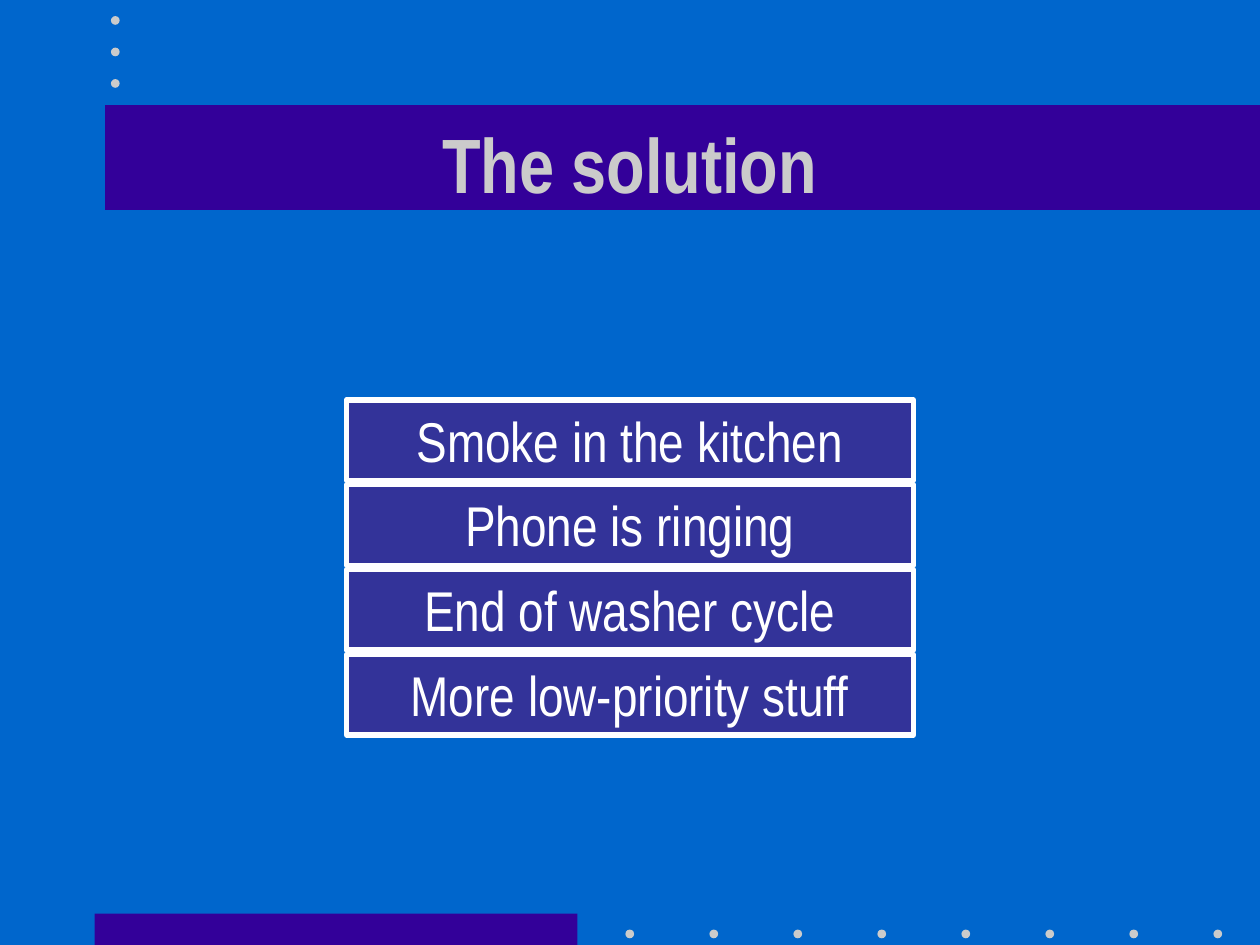
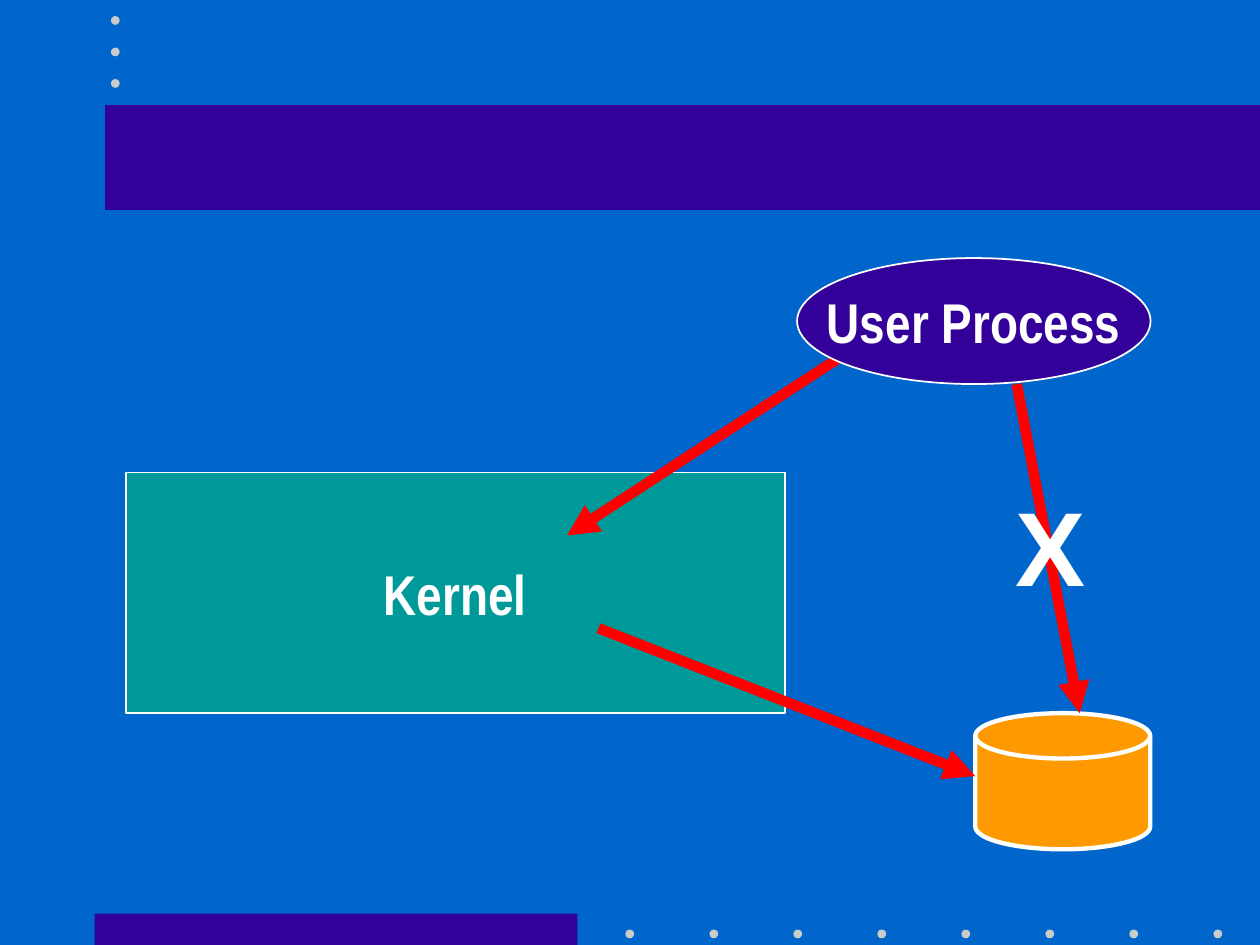
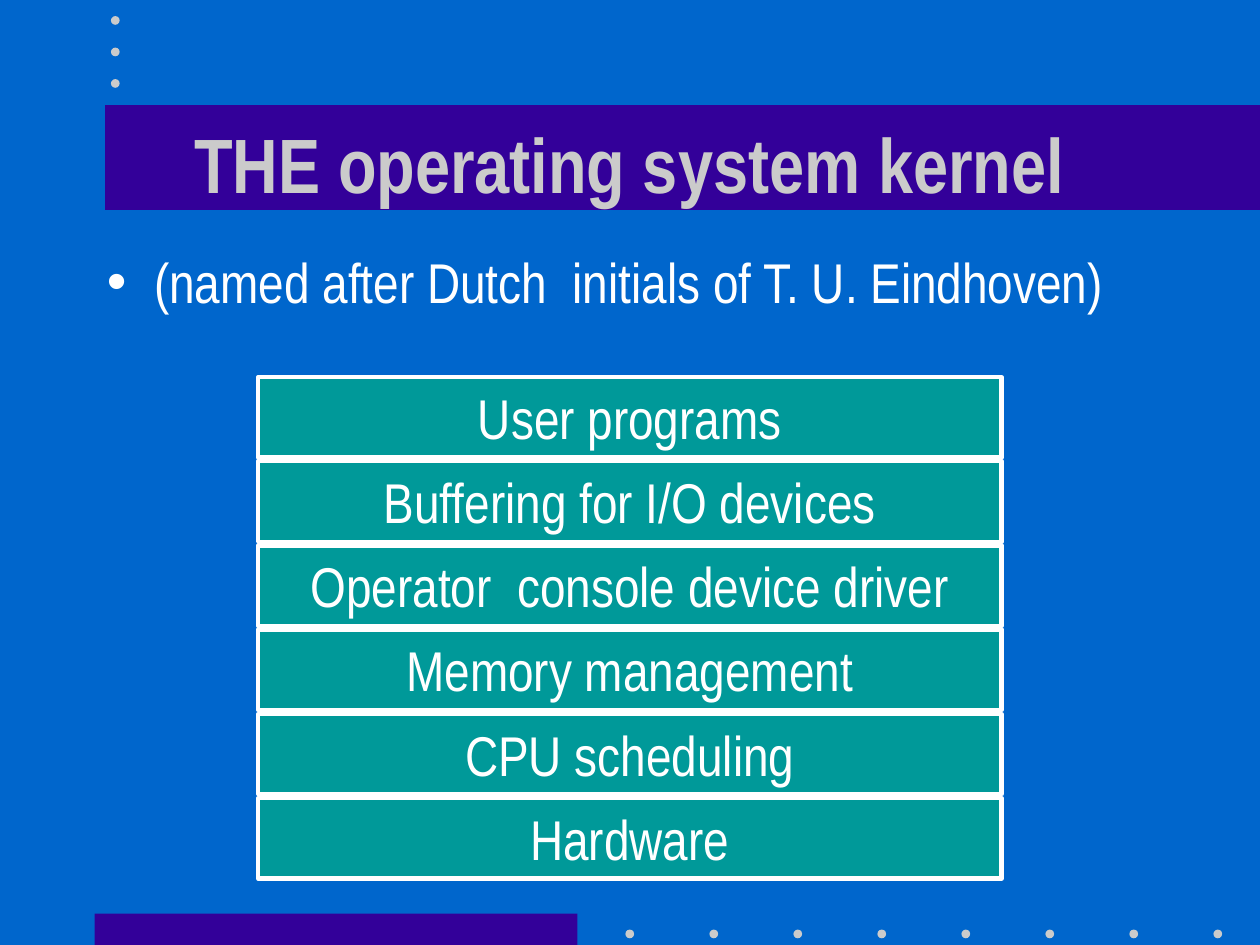
from lxml import etree
from pptx import Presentation
from pptx.dml.color import RGBColor
from pptx.enum.shapes import MSO_CONNECTOR, MSO_SHAPE
from pptx.enum.text import MSO_ANCHOR, PP_ALIGN
from pptx.oxml.ns import qn
from pptx.util import Pt

RECTANGLE = MSO_SHAPE.RECTANGLE
OVAL = MSO_SHAPE.OVAL
DISK = MSO_SHAPE.FLOWCHART_MAGNETIC_DISK
STRAIGHT = MSO_CONNECTOR.STRAIGHT
TOP, MIDDLE = MSO_ANCHOR.TOP, MSO_ANCHOR.MIDDLE
LEFT, CENTER = PP_ALIGN.LEFT, PP_ALIGN.CENTER

BLUE = RGBColor(0x00, 0x66, 0xCC)
INDIGO = RGBColor(0x33, 0x00, 0x99)
NAVY = RGBColor(0x33, 0x33, 0x99)
TEAL = RGBColor(0x00, 0x99, 0x99)
ORANGE = RGBColor(0xFF, 0x99, 0x00)
RED = RGBColor(0xFF, 0x00, 0x00)
GRAY = RGBColor(0xCB, 0xCB, 0xCB)
WHITE = RGBColor(0xFF, 0xFF, 0xFF)

SLIDE_WIDTH, SLIDE_HEIGHT = 720, 540
DOT_SIZE = 5
LAYER_HEIGHT = 46

BODY_FONT = {"name": "Arial Narrow", "size": Pt(32), "bold": False}
LABEL_FONT = {**BODY_FONT, "bold": True}
TITLE_FONT = {**LABEL_FONT, "size": Pt(44)}
CROSS_FONT = {"name": "Arial", "size": Pt(60), "bold": True}


def write_text(shape, text, font_format, color=WHITE, align=CENTER, anchor=MIDDLE, wrap=True):
    frame = shape.text_frame
    frame.word_wrap = wrap
    frame.vertical_anchor = anchor
    paragraph = frame.paragraphs[0]
    paragraph.alignment = align
    run = paragraph.add_run()
    run.text = text
    for name, value in font_format.items():
        setattr(run.font, name, value)
    run.font.color.rgb = color
    return paragraph


def add_box(slide, kind, box, fill, line_width=0):
    """Add a filled preset shape, with a white outline if line_width is given."""
    shape = slide.shapes.add_shape(kind, *map(Pt, box))
    shape.shadow.inherit = False
    shape.fill.solid()
    shape.fill.fore_color.rgb = fill
    if line_width:
        shape.line.color.rgb = WHITE
        shape.line.width = Pt(line_width)
    else:
        shape.line.fill.background()
    return shape


def add_text(slide, box, text, font_format, **layout):
    text_box = slide.shapes.add_textbox(*map(Pt, box))
    return write_text(text_box, text, font_format, **layout)


def add_title(slide, text):
    add_text(slide, (54, 48, 612, 90), text, TITLE_FONT, color=GRAY)


def add_bullet(slide, box, text):
    paragraph = add_text(slide, box, text, BODY_FONT, align=LEFT, anchor=TOP)
    paragraph.space_before = Pt(8)
    properties = paragraph._p.get_or_add_pPr()
    properties.set("marL", str(Pt(27)))
    properties.set("indent", str(Pt(-27)))
    etree.SubElement(properties, qn("a:buFont"), typeface="Arial")
    etree.SubElement(properties, qn("a:buChar"), char="•")


def add_arrow(slide, start, end):
    arrow = slide.shapes.add_connector(STRAIGHT, *map(Pt, start + end))
    arrow.line.color.rgb = RED
    arrow.line.width = Pt(6)
    etree.SubElement(arrow.line._get_or_add_ln(), qn("a:tailEnd"), type="triangle")
    etree.SubElement(arrow._element.spPr, qn("a:effectLst"))


def add_layers(slide, names, top, width, pitch, fill, line_width):
    """Stack one labelled bar per name, centred across the slide."""
    left = (SLIDE_WIDTH - width) / 2
    for index, name in enumerate(names):
        box = (left, top + index * pitch, width, LAYER_HEIGHT)
        layer = add_box(slide, RECTANGLE, box, fill, line_width)
        write_text(layer, name, BODY_FONT, anchor=TOP)


def add_decorated_slide(presentation):
    """Add a blank slide with the title band, footer band and rows of dots."""
    slide = presentation.slides.add_slide(presentation.slide_layouts[6])
    add_box(slide, RECTANGLE, (54, 522, 276, 18), INDIGO)
    add_box(slide, RECTANGLE, (60, 60, 660, 60), INDIGO)
    footer_dots = [(357.4 + 48 * index, 531.2) for index in range(8)]
    header_dots = [(63.4, 9.2 + 18 * index) for index in range(3)]
    for left, top in footer_dots + header_dots:
        add_box(slide, OVAL, (left, top, DOT_SIZE, DOT_SIZE), GRAY)
    return slide


def build_solution(presentation):
    slide = add_decorated_slide(presentation)
    add_title(slide, "The solution")
    priorities = ["Smoke in the kitchen", "Phone is ringing",
                  "End of washer cycle", "More low-priority stuff"]
    add_layers(slide, priorities, top=228.5, width=324, pitch=48.5, fill=NAVY, line_width=3)


def build_kernel_access(presentation):
    slide = add_decorated_slide(presentation)
    kernel = add_box(slide, RECTANGLE, (72, 270, 376.5, 137.5), TEAL, 1)
    write_text(kernel, "Kernel", LABEL_FONT, wrap=False)
    add_box(slide, DISK, (557.3, 407.5, 100, 77.8), ORANGE, 2.5)
    add_arrow(slide, (581, 219.5), (617, 407.5))
    add_arrow(slide, (479.5, 204.5), (324, 306))
    user_process = add_box(slide, OVAL, (455.5, 147.5, 202, 72), INDIGO, 1)
    write_text(user_process, "User Process", LABEL_FONT, wrap=False)
    add_arrow(slide, (342, 359), (557.3, 443.5))
    add_text(slide, (573, 271.5, 54, 79), "X", CROSS_FONT, align=LEFT, anchor=TOP, wrap=False)


def build_kernel_layers(presentation):
    slide = add_decorated_slide(presentation)
    add_title(slide, "THE operating system kernel")
    add_bullet(slide, (54, 138, 612, 59), "(named after Dutch  initials of T. U. Eindhoven)")
    layers = ["User programs", "Buffering for I/O devices", "Operator  console device driver",
              "Memory management", "CPU scheduling", "Hardware"]
    add_layers(slide, layers, top=215.5, width=424.8, pitch=48.1, fill=TEAL, line_width=2.5)


def main():
    presentation = Presentation()
    presentation.slide_width = Pt(SLIDE_WIDTH)
    presentation.slide_height = Pt(SLIDE_HEIGHT)
    background = presentation.slide_master.background.fill
    background.solid()
    background.fore_color.rgb = BLUE
    build_solution(presentation)
    build_kernel_access(presentation)
    build_kernel_layers(presentation)
    presentation.save("out.pptx")


if __name__ == "__main__":
    main()
